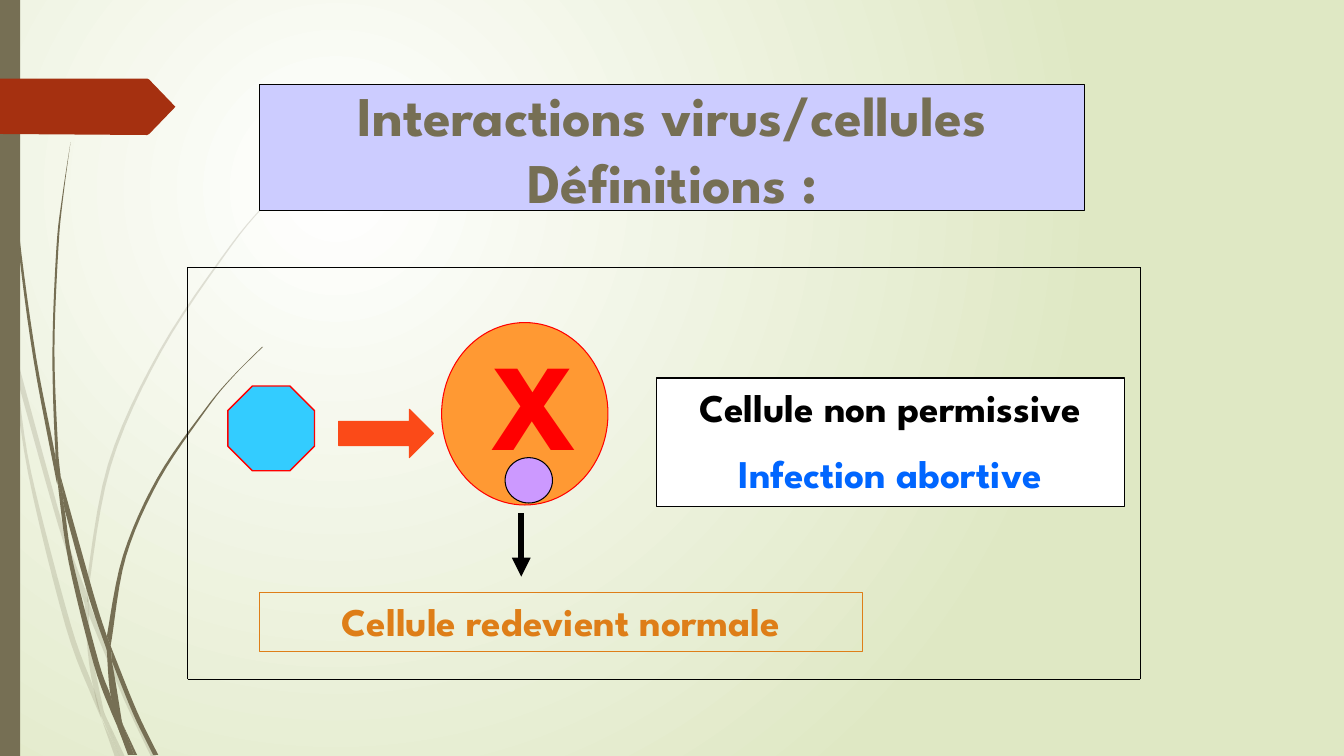
"""Build the slide on virus/cell interactions: non-permissive cell, abortive infection."""
import pptx
import pptx.dml.color
import pptx.enum.shapes
import pptx.enum.text
import pptx.oxml.ns
import pptx.util
from lxml import etree

Inches = pptx.util.Inches
Pt = pptx.util.Pt
SHAPES = pptx.enum.shapes.MSO_SHAPE
ANCHOR = pptx.enum.text.MSO_ANCHOR
ALIGN = pptx.enum.text.PP_ALIGN
qn = pptx.oxml.ns.qn

FONT = "League Spartan"
OLIVE = "766F54"
BACKGROUND = ("FFFFFF", "DFE8C4")

PALE_BLADES = [
    ([(0, 2.82), (0.09, 3.22), (0.11, 3.5)], [(0.1, 3.44), (0, 2.99)]),
    ([(0.14, 3.45), (0.62, 5.2), (0.85, 5.86)], [(0.84, 5.99), (0.58, 5.22), (0.17, 3.76)]),
    ([(0.88, 5.96), (0.92, 6.07), (1.27, 6.92), (1.55, 7.51)], [(1.5, 7.51), (1.23, 6.94), (0.88, 6.1)]),
    ([(1.05, 7.11), (1.24, 7.51)], [(1.19, 7.51), (1.05, 7.11)]),
    ([(0.11, 3.5), (0.17, 3.76), (0.31, 4.69), (0.7, 6.19), (0.93, 6.83), (1.01, 7.14)],
     [(0.92, 6.93), (0.65, 6.21), (0.28, 4.7), (0.11, 3.5)]),
    ([(0.84, 5.99), (0.87, 6.46), (0.93, 6.83), (1.05, 7.11)],
     [(1.03, 7.06), (0.91, 6.46), (0.88, 6.08)]),
    ([(3.12, 1.53), (2.89, 1.75), (2.68, 1.97), (2.28, 2.44), (1.58, 3.48), (1.07, 4.61), (0.85, 5.84)],
     [(0.88, 5.96), (0.88, 5.84), (1.1, 4.62), (1.6, 3.49), (2.29, 2.45), (2.68, 1.98), (2.9, 1.75),
      (3.12, 1.54)]),
    ([(1.01, 7.14), (1.14, 7.51)], [(1.19, 7.51), (1.01, 7.14)]),
    ([(0.88, 6.1), (0.88, 5.96), (0.85, 5.86)], [(0.84, 5.99), (0.88, 6.08)]),
    ([(0.93, 6.83), (0.99, 7.07), (1.19, 7.51)], [(1.05, 7.11), (0.96, 6.92)]),
]
DARK_BLADES = [
    ([(0.04, 0), (0.05, 0.48), (0.08, 1.09), (0.19, 2.32), (0.36, 3.55), (0.55, 4.53), (0.57, 4.81)],
     [(0.56, 4.77), (0.33, 3.55), (0.17, 2.33), (0.07, 1.1), (0.04, 0.48), (0.03, 0)]),
    ([(0.6, 4.72), (0.93, 5.9), (1.06, 6.31)], [(1.06, 6.45), (0.88, 5.92), (0.64, 5.05)]),
    ([(1.1, 6.41), (1.13, 6.49), (1.36, 7.06), (1.57, 7.49)], [(1.52, 7.49), (1.32, 7.08), (1.11, 6.56)]),
    ([(0.57, 4.77), (0.64, 5.05), (0.72, 5.56), (0.98, 6.57), (1.1, 6.91), (1.17, 7.22)],
     [(1.11, 7.08), (0.93, 6.59), (0.68, 5.57), (0.57, 4.77)]),
    ([(0.7, 1.41), (0.62, 1.93), (0.56, 2.45), (0.52, 3.49), (0.55, 4.49), (0.6, 4.72)],
     [(0.58, 4.53), (0.54, 3.49), (0.58, 2.45), (0.63, 1.93), (0.7, 1.41)]),
    ([(1.22, 7.19), (1.36, 7.49)], [(1.33, 7.49), (1.22, 7.19)]),
    ([(0.55, 4.49), (0.6, 4.72), (0.64, 5.05)], [(0.57, 4.77), (0.55, 4.53)]),
    ([(2.6, 3.44), (2.31, 3.73), (2.04, 4.05), (1.56, 4.74), (1.22, 5.51), (1.06, 6.31)],
     [(1.1, 6.41), (1.11, 6.33), (1.25, 5.52), (1.58, 4.76), (2.05, 4.06), (2.31, 3.74), (2.61, 3.44)]),
    ([(1.17, 7.22), (1.27, 7.49)], [(1.31, 7.49), (1.17, 7.22)]),
    ([(1.06, 6.45), (1.1, 6.91), (1.22, 7.19)], [(1.21, 7.16), (1.11, 6.56), (1.06, 6.45)]),
    ([(1.06, 6.31), (1.06, 6.45), (1.11, 6.56)], [(1.1, 6.41), (1.06, 6.31)]),
    ([(1.1, 6.91), (1.17, 7.22), (1.3, 7.49)], [(1.33, 7.49), (1.22, 7.19), (1.1, 6.91)]),
]
PENNANT = [(0, 0.78), (1.46, 0.78), (1.48, 0.79), (1.74, 1.06), (1.48, 1.33), (1.46, 1.34), (0, 1.33)]

SIDE_BAR = (SHAPES.RECTANGLE, (0, 0, 0.2, 7.5), OLIVE, None, 0)
CELL = (SHAPES.OVAL, (4.38, 3.2, 1.65, 1.81), "FF9933", "FF0000", 0.75)
VIRUS = (SHAPES.OCTAGON, (2.26, 3.83, 0.86, 0.84), "33CCFF", "FF0000", 1)
VIRUS_GENOME = (SHAPES.OVAL, (5.01, 4.54, 0.47, 0.45), "CC99FF", "000000", 0.75)
ENTRY_ARROW = (SHAPES.RIGHT_ARROW, (3.36, 4.06, 0.94, 0.48), "FB4A18", "FB4A18", 0.75)
DEFINITION_BOX = (SHAPES.RECTANGLE, (6.51, 3.75, 4.64, 1.28), "FFFFFF", "000000", 0.75)
TITLE_BOX = (SHAPES.RECTANGLE, (2.57, 0.84, 8.19, 1.25), "CCCCFF", "000000", 0.75)
OUTCOME_BOX = (SHAPES.RECTANGLE, (2.57, 5.88, 5.98, 0.58), None, "DE7E18", 0.75)
CROSS_BOX = (4.78, 3.2, 1.18, 1.57)

TITLE = [("Interactions virus/cellules\nDéfinitions :", OLIVE)]
DEFINITION = [("Cellule non permissive", "000000"), ("Infection abortive", "0066FF")]
OUTCOME = [("Cellule redevient normale", "DE7E18")]
CROSS = [("X", "FF0000")]

FRAME = (1.86, 2.65, 11.31, 6.74)
OUTCOME_ARROW = ((5.17, 5.09), (5.17, 5.72))


def rgb(value):
    return pptx.dml.color.RGBColor.from_string(value)


def paint(shape, fill, line=None, width=0):
    shape.shadow.inherit = False
    if fill:
        shape.fill.solid()
        shape.fill.fore_color.rgb = rgb(fill)
    else:
        shape.fill.background()
    if line:
        shape.line.color.rgb = rgb(line)
        shape.line.width = Pt(width)
    else:
        shape.line.fill.background()


def add_preset(slide, kind, box, fill, line, width):
    shape = slide.shapes.add_shape(kind, *map(Inches, box))
    paint(shape, fill, line, width)
    return shape


def add_outline(slide, points, fill, opacity=100):
    corners = [(Inches(x), Inches(y)) for x, y in points]
    builder = slide.shapes.build_freeform(*corners[0])
    builder.add_line_segments(corners[1:], close=True)
    shape = builder.convert_to_shape()
    paint(shape, fill)
    if opacity < 100:
        color = shape.element.spPr.find(".//" + qn("a:srgbClr"))
        etree.SubElement(color, qn("a:alpha"), val=str(opacity * 1000))


def smooth(points, steps=6):
    padded = [points[0], *points, points[-1]]
    curve = []
    for before, start, end, after in zip(padded, padded[1:], padded[2:], padded[3:]):
        for step in range(steps):
            t = step / steps
            curve.append(tuple(
                b + 0.5 * t * (c - a + t * (2 * a - 5 * b + 4 * c - d + t * (3 * (b - c) + d - a)))
                for a, b, c, d in zip(before, start, end, after)))
    return curve + [points[-1]]


def write(shape, lines, size, align=ALIGN.CENTER, anchor=ANCHOR.TOP):
    frame = shape.text_frame
    frame.word_wrap = True
    frame.vertical_anchor = anchor
    for index, (text, color) in enumerate(lines):
        paragraph = frame.add_paragraph() if index else frame.paragraphs[0]
        paragraph.alignment = align
        if index:
            paragraph.space_before = Pt(size / 2)
        for position, part in enumerate(text.split("\n")):
            if position:
                paragraph.add_line_break()
            run = paragraph.add_run()
            run.text = part
            run.font.name = FONT
            run.font.size = Pt(size)
            run.font.bold = True
            run.font.color.rgb = rgb(color)


def add_line(slide, start, end, width, arrow=False):
    connector = slide.shapes.add_connector(
        pptx.enum.shapes.MSO_CONNECTOR.STRAIGHT, *map(Inches, start + end))
    connector.line.color.rgb = rgb("000000")
    connector.line.width = Pt(width)
    if arrow:
        outline = connector.element.spPr.find(qn("a:ln"))
        etree.SubElement(outline, qn("a:tailEnd"), type="triangle")
    etree.SubElement(connector.element.spPr, qn("a:effectLst"))


def set_background(slide):
    fill = slide.background.fill
    fill.gradient()
    for stop, color in zip(fill.gradient_stops, BACKGROUND):
        stop.color.rgb = rgb(color)
    linear = slide.element.find(".//" + qn("a:lin"))
    circle = etree.Element(qn("a:path"), path="circle")
    etree.SubElement(circle, qn("a:fillToRect"), l="50000", t="50000", r="100000", b="100000")
    linear.getparent().replace(linear, circle)


def main():
    presentation = pptx.Presentation()
    presentation.slide_width = Inches(13.33)
    presentation.slide_height = Inches(7.5)
    slide = presentation.slides.add_slide(presentation.slide_layouts[6])
    set_background(slide)

    for blades, opacity in ((PALE_BLADES, 20), (DARK_BLADES, 100)):
        for outward, back in blades:
            add_outline(slide, smooth(outward) + smooth(back), OLIVE, opacity)
    add_preset(slide, *SIDE_BAR)
    add_outline(slide, PENNANT, "A53010")

    add_preset(slide, *CELL)
    add_preset(slide, *VIRUS).adjustments[0] = 0.29
    add_preset(slide, *VIRUS_GENOME)
    write(add_preset(slide, *DEFINITION_BOX), DEFINITION, 28)
    add_preset(slide, *ENTRY_ARROW)
    write(slide.shapes.add_textbox(*map(Inches, CROSS_BOX)), CROSS, 88, ALIGN.LEFT)
    write(add_preset(slide, *TITLE_BOX), TITLE, 40, anchor=ANCHOR.MIDDLE)

    left, top, right, bottom = FRAME
    corners = [(left, top), (right, top), (right, bottom), (left, bottom)]
    for start, end in zip(corners, corners[1:] + corners[:1]):
        add_line(slide, start, end, 0.75)
    write(add_preset(slide, *OUTCOME_BOX), OUTCOME, 28)
    add_line(slide, *OUTCOME_ARROW, 4.5, arrow=True)
    presentation.save("out.pptx")


if __name__ == "__main__":
    main()
